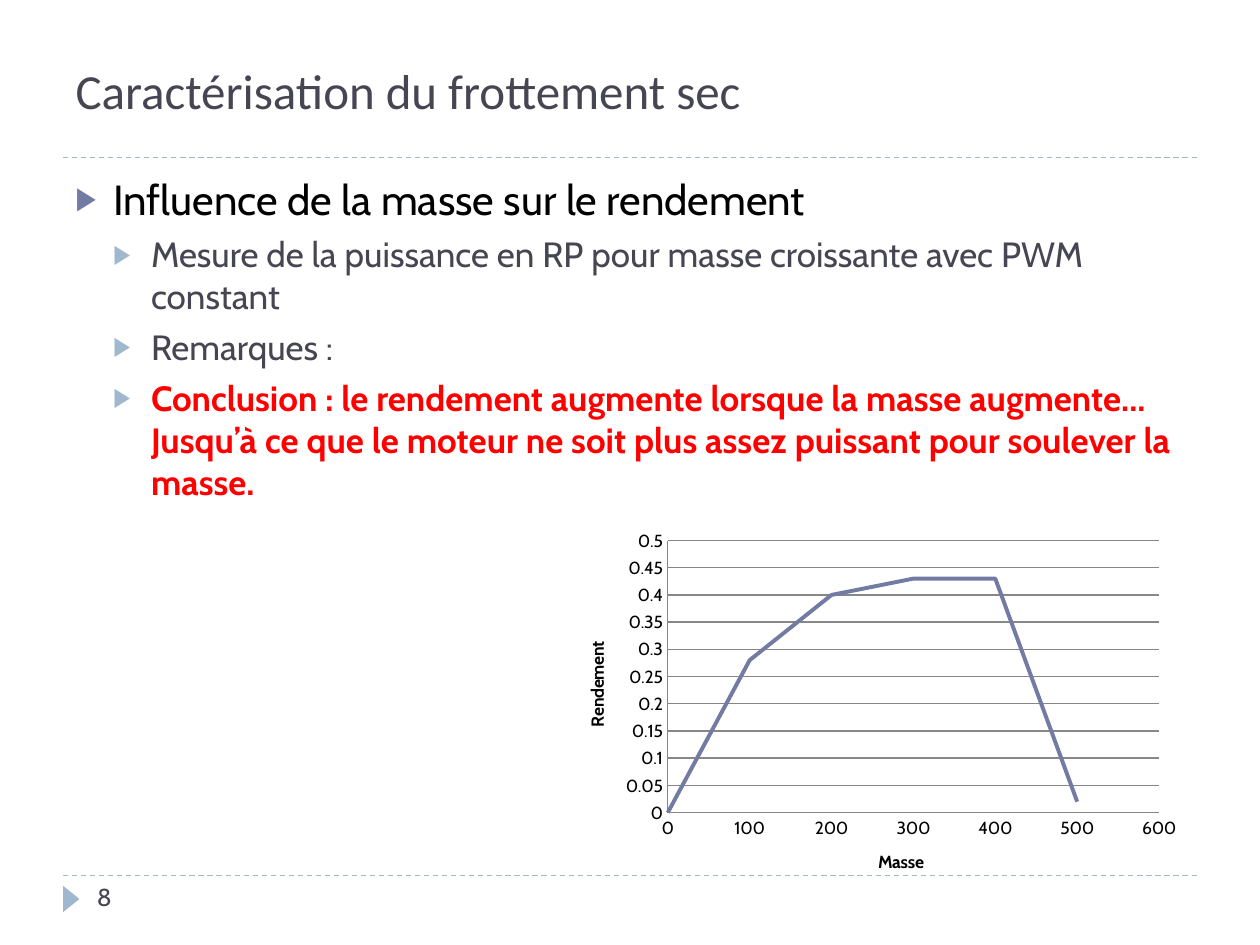
from lxml import etree
from pptx import Presentation
from pptx.chart.data import XyChartData
from pptx.dml.color import RGBColor
from pptx.enum.chart import XL_CHART_TYPE as ChartType, XL_TICK_MARK as TickMark
from pptx.enum.dml import MSO_LINE_DASH_STYLE as Dash
from pptx.enum.shapes import MSO_CONNECTOR as Connector, MSO_SHAPE as Shape
from pptx.enum.text import MSO_ANCHOR as Anchor, MSO_AUTO_SIZE as AutoSize, PP_ALIGN as Align
from pptx.oxml import parse_xml
from pptx.oxml.ns import nsdecls, qn
from pptx.util import Inches, Pt

# Content
TITLE = "Caractérisation du frottement sec"
PAGE_NUMBER = "8"
BULLETS = [  # level, text, colour, bold
    (0, "Influence de la masse sur le rendement", "black", False),
    (1, "Mesure de la puissance en RP pour masse croissante avec PWM constant", "slate", False),
    (1, "Remarques :", "slate", False),
    (1, "Conclusion : le rendement augmente lorsque la masse augmente... "
        "Jusqu’à ce que le moteur ne soit plus assez puissant pour soulever la masse.", "red", True),
]
EFFICIENCY = [(0, 0), (100, 0.28), (200, 0.4), (300, 0.43), (400, 0.43), (500, 0.02)]

COLORS = {"black": "000000", "slate": "464653", "red": "FF0000",
          "violet": "727CA3", "blue": "9FB8CD", "grid": "878787"}
LEVELS = [  # size, space before, bullet colour
    {"size": 24, "before": 6, "bullet": "violet"},
    {"size": 20, "before": 5, "bullet": "blue"},
]
INDENT = 0.3
RULES_Y = (1.25, 6.95)
PLOT_LAYOUT = {"x": 0.17, "y": 0.05, "w": 0.78, "h": 0.72}


def color(name):
    return RGBColor.from_string(COLORS[name])


def set_font(font, name, size, tint, bold=False):
    for key, value in {"name": name, "size": Pt(size), "bold": bold}.items():
        setattr(font, key, value)
    font.color.rgb = color(tint)


def place(item, left, top, width, height):
    for key, value in {"left": left, "top": top, "width": width, "height": height}.items():
        setattr(item, key, Inches(value))


def prepare(frame, anchor):
    for key, value in {"word_wrap": True, "auto_size": AutoSize.NONE,
                       "vertical_anchor": anchor}.items():
        setattr(frame, key, value)


def add_span(para, text, *style):
    span = para.add_run()
    span.text = text
    set_font(span.font, *style)


def add_bullet(para, level, tint):
    props = para._p.get_or_add_pPr()
    props.set("marL", str(Inches(INDENT * (level + 1))))
    props.set("indent", str(-Inches(INDENT)))
    for tag, attrs in (("buSzPct", {"val": "76000"}), ("buFont", {"typeface": "Arial"}),
                       ("buChar", {"char": "▶"})):
        etree.SubElement(props, qn(f"a:{tag}"), attrs)
    props.insert(props.index(props.find(qn("a:buSzPct"))), parse_xml(
        f'<a:buClr {nsdecls("a")}><a:srgbClr val="{COLORS[tint]}"/></a:buClr>'))


deck = Presentation()
deck.slide_width, deck.slide_height = Inches(10), Inches(7.5)
page = deck.slides.add_slide(deck.slide_layouts[5])

# Dashed rules
for y in RULES_Y:
    rule = page.shapes.add_connector(
        Connector.STRAIGHT, Inches(0.5), Inches(y), Inches(9.5), Inches(y))
    rule.line.color.rgb = color("blue")
    rule.line.width = Pt(0.75)
    rule.line.dash_style = Dash.DASH
    etree.SubElement(rule._element.spPr, qn("a:effectLst"))

# Page marker and number
marker = page.shapes.add_shape(
    Shape.ISOSCELES_TRIANGLE, Inches(0.46), Inches(7.07), Inches(0.21), Inches(0.13))
marker.rotation = 90
marker.shadow.inherit = False
marker.fill.solid()
marker.fill.fore_color.rgb = color("blue")
marker.line.fill.background()

number = page.shapes.add_textbox(Inches(0.67), Inches(6.95), Inches(2.17), Inches(0.4))
prepare(number.text_frame, Anchor.TOP)
add_span(number.text_frame.paragraphs[0], PAGE_NUMBER, "Cabin", 14, "slate")

# Title
title = page.shapes.title
place(title, 0.5, 0.17, 8.99, 1.08)
prepare(title.text_frame, Anchor.MIDDLE)
heading = title.text_frame.paragraphs[0]
heading.alignment = Align.LEFT
add_span(heading, TITLE, "Calibri", 28, "slate")

# Bulleted text
body = page.shapes.add_textbox(Inches(0.5), Inches(1.33), Inches(9.15), Inches(5.4))
prepare(body.text_frame, Anchor.TOP)
for index, (level, text, tint, bold) in enumerate(BULLETS):
    para = body.text_frame.paragraphs[0] if index == 0 else body.text_frame.add_paragraph()
    style = LEVELS[level]
    para.level = level
    para.space_before = Pt(style["before"])
    add_bullet(para, level, style["bullet"])
    add_span(para, text, "Cabin", style["size"], tint, bold)

# Efficiency chart
data = XyChartData()
series = data.add_series("Series 1")
for mass, efficiency in EFFICIENCY:
    series.add_data_point(mass, efficiency)
chart = page.shapes.add_chart(
    ChartType.XY_SCATTER_SMOOTH_NO_MARKERS,
    Inches(4.45), Inches(4.14), Inches(5), Inches(3), data).chart
chart.has_legend = False
chart.has_title = False
set_font(chart.font, "Cabin", 10, "black")

for axis, name, top, step in ((chart.category_axis, "Masse", 600, 100),
                              (chart.value_axis, "Rendement", 0.5, 0.05)):
    for key, value in {"minimum_scale": 0, "maximum_scale": top, "major_unit": step,
                       "major_tick_mark": TickMark.NONE,
                       "minor_tick_mark": TickMark.NONE}.items():
        setattr(axis, key, value)
    axis.has_major_gridlines = axis is chart.value_axis
    axis.format.line.color.rgb = color("grid")
    axis.tick_labels.number_format = "General"
    axis.tick_labels.number_format_is_linked = False
    add_span(axis.axis_title.text_frame.paragraphs[0], name, "Cabin", 10, "black", True)
chart.value_axis.major_gridlines.format.line.color.rgb = color("grid")

plot = chart.plots[0]
plot.vary_by_categories = False
curve = plot.series[0]
curve.smooth = True
curve.format.line.color.rgb = color("violet")
curve.format.line.width = Pt(2.25)

# Fixed inner plot area
area = chart._chartSpace.chart.plotArea
for old in area.findall(qn("c:layout")):
    area.remove(old)
sides = "".join(f'<c:{key}Mode val="edge"/>' for key in "xy")
sides += "".join(f'<c:{key} val="{value}"/>' for key, value in PLOT_LAYOUT.items())
area.insert(0, parse_xml(
    f'<c:layout {nsdecls("c")}><c:manualLayout><c:layoutTarget val="inner"/>'
    f'{sides}</c:manualLayout></c:layout>'))

deck.save("out.pptx")
